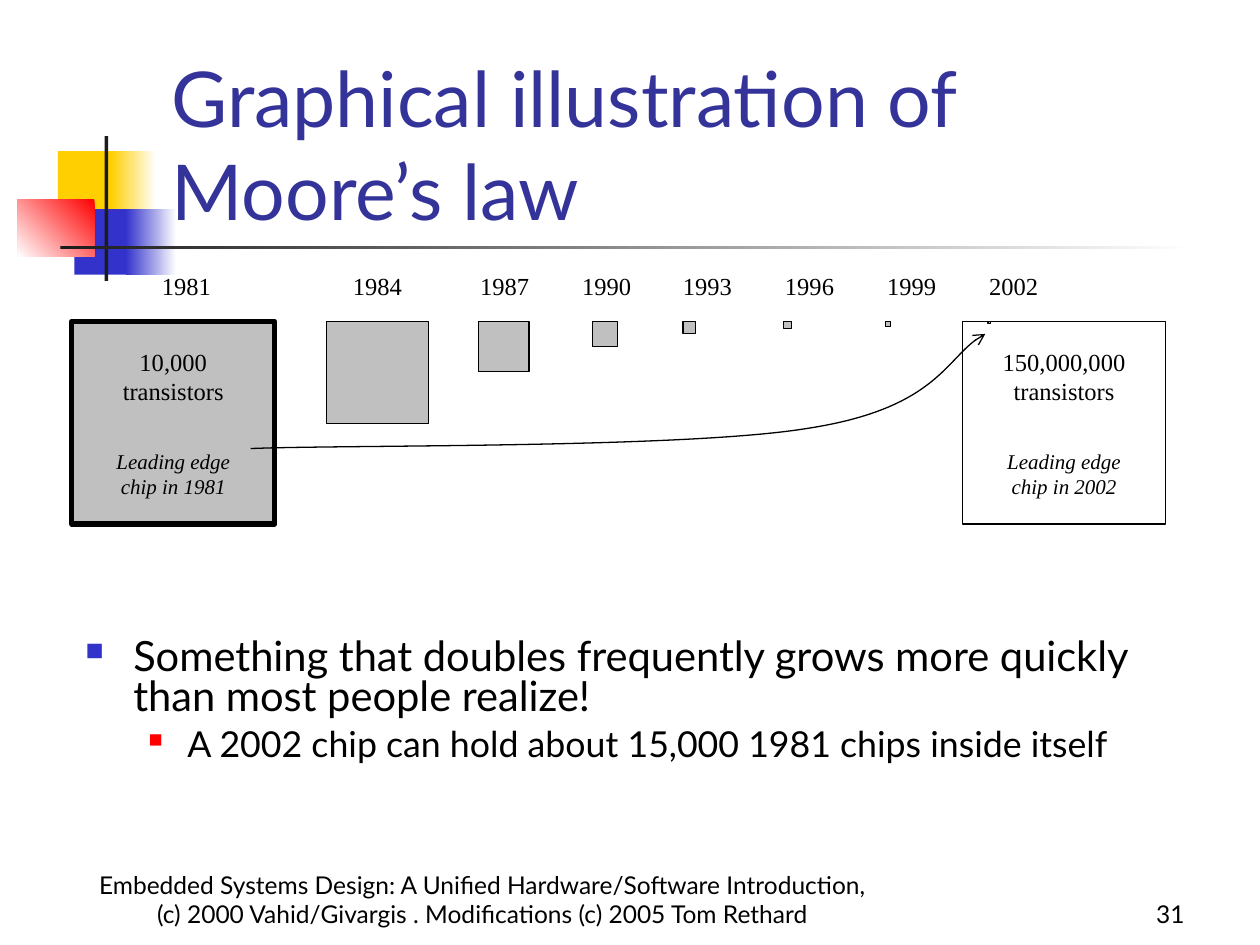
from dataclasses import dataclass

from lxml.etree import SubElement
from pptx import Presentation
from pptx.dml.color import RGBColor
from pptx.enum.shapes import MSO_SHAPE
from pptx.enum.text import MSO_ANCHOR, MSO_AUTO_SIZE, PP_ALIGN
from pptx.oxml.ns import qn
from pptx.util import Emu, Pt

PX = 9144  # 100 px to the inch
SANS, SERIF = "Lato", "Times New Roman"
BLACK, WHITE, GREY = "000000", "FFFFFF", "C0C0C0"
GOLD, BLUE, RED, DARK = "FFCF01", "3333CC", "FF0000", "1C1C1C"
TOP, BIG = 255, 161  # top of the chips, side of a full chip


@dataclass
class Block:
    box: tuple[int, int, int, int]
    color: str
    end: str = ""  # second colour of a gradient
    angle: int = 0


@dataclass
class Chip:
    year: str
    tag: int  # left of the year label
    span: int  # width of the year label
    left: int
    side: int
    line: float = 0.75


@dataclass
class Point:
    text: str
    size: float
    margin: int
    hang: int
    mark: str  # bullet colour
    scale: int  # bullet size, percent
    gap: int


BLOCKS = [
    Block((46, 120, 48, 52), GOLD),
    Block((88, 120, 36, 52), GOLD, WHITE),
    Block((59, 166, 46, 52), BLUE),
    Block((100, 166, 40, 52), BLUE, WHITE),
    Block((14, 158, 61, 46), RED, WHITE, 225),
    Block((83, 108, 3, 115), DARK),
    Block((48, 195, 900, 3), DARK, WHITE),
]
CHIPS = [
    Chip("1981", 118, 60, 57, BIG, 3),
    Chip("1984", 259, 81, 259, 81),
    Chip("1987", 360, 81, 380, 40),
    Chip("1990", 441, 81, 470, 20),
    Chip("1993", 521, 81, 542, 10),
    Chip("1996", 602, 81, 622, 6),
    Chip("1999", 683, 81, 703, 4),
    Chip("2002", 764, 81, 784, 2),
]
POINTS = [
    Point("Something that doubles frequently grows more quickly "
          "than most people realize!", 23.8, 38, 38, BLUE, 60, 0),
    Point("A 2002 chip can hold about 15,000 1981 chips inside itself",
          20.4, 81, 31, RED, 55, 6),
]


def rgb(code: str) -> RGBColor:
    return RGBColor.from_string(code)


def emu(*vals: int) -> list[Emu]:
    return [Emu(v * PX) for v in vals]


def style(para, size: float, face: str, color: str = BLACK,
          italic: bool = False) -> None:
    font = para.font
    font.size, font.name, font.italic = Pt(size), face, italic
    font.color.rgb = rgb(color)


def rect(slide, box: tuple, color: str = "", line: float = 0):
    shape = slide.shapes.add_shape(MSO_SHAPE.RECTANGLE, *emu(*box))
    shape.shadow.inherit = False
    if color:
        shape.fill.solid()
        shape.fill.fore_color.rgb = rgb(color)
    else:
        shape.fill.background()
    if line:
        shape.line.color.rgb = rgb(BLACK)
        shape.line.width = Pt(line)
    else:
        shape.line.fill.background()
    return shape


def block(slide, item: Block) -> None:
    fill = rect(slide, item.box, item.color).fill
    if item.end:
        fill.gradient()
        fill.gradient_angle = item.angle
        for stop, color in zip(fill.gradient_stops, (item.color, item.end)):
            stop.color.rgb = rgb(color)


def frame(slide, box: tuple, inset: bool = False):
    body = slide.shapes.add_textbox(*emu(*box)).text_frame
    body.word_wrap = True
    if not inset:
        body.margin_left = body.margin_right = 0
        body.margin_top = body.margin_bottom = 0
    return body


def label(slide, box: tuple, lines: list[str], size: float,
          italic: bool = False) -> None:
    body = frame(slide, box)
    body.text = "\n".join(lines)
    for para in body.paragraphs:
        para.alignment = PP_ALIGN.CENTER
        style(para, size, SERIF, italic=italic)


def notes(slide, left: int, count: str, year: str) -> None:
    label(slide, (left, 356, BIG, 61),
          ["Leading edge", f"chip in {year}"], 12, True)
    label(slide, (left, 275, BIG, 61), [count, "transistors"], 14)


def curve(slide, start: tuple, ctrl: list[tuple]) -> None:
    """Draw a Bezier arrow; ctrl holds three points per segment."""
    pen = slide.shapes.build_freeform(*start, scale=PX)
    pen.add_line_segments(ctrl, close=False)
    shape = pen.convert_to_shape()
    shape.shadow.inherit = False
    shape.fill.background()
    shape.line.color.rgb = rgb(BLACK)
    shape.line.width = Pt(0.75)
    track = next(shape.element.iter(qn("a:path")))
    steps = track.findall(qn("a:lnTo"))
    for i in range(0, len(steps), 3):
        bend = SubElement(track, qn("a:cubicBezTo"))
        for step in steps[i:i + 3]:
            bend.append(step[0])
            track.remove(step)
    line = shape.element.spPr.find(qn("a:ln"))
    SubElement(line, qn("a:tailEnd"), type="arrow")


def bullet(para, item: Point) -> None:
    props = para._p.get_or_add_pPr()
    props.set("marL", str(item.margin * PX))
    props.set("indent", str(-item.hang * PX))
    tint = SubElement(props, qn("a:buClr"))
    SubElement(tint, qn("a:srgbClr"), val=item.mark)
    SubElement(props, qn("a:buSzPct"), val=str(item.scale * 1000))
    SubElement(props, qn("a:buChar"), char="■")
    para.line_spacing = 0.8
    para.space_before = Pt(item.gap)
    para.text = item.text
    style(para, item.size, SANS)


def footer(slide, box: tuple, text: str, align) -> None:
    body = frame(slide, box, inset=True)
    body.vertical_anchor = MSO_ANCHOR.BOTTOM
    para = body.paragraphs[0]
    para.text, para.alignment = text, align
    style(para, 14, SANS)


def main() -> None:
    deck = Presentation()
    deck.slide_width, deck.slide_height = emu(1000, 750)
    slide = deck.slides.add_slide(deck.slide_layouts[5])

    # Corner ornament
    for item in BLOCKS:
        block(slide, item)

    # Title, moved in front of the ornament
    title = slide.shapes.title
    slide.shapes._spTree.append(title.element)
    title.left, title.top, title.width, title.height = emu(126, 67, 852, 125)
    body = title.text_frame
    body.text = "Graphical illustration of Moore’s law"
    body.auto_size = MSO_AUTO_SIZE.NONE
    body.vertical_anchor = MSO_ANCHOR.BOTTOM
    body.paragraphs[0].alignment = PP_ALIGN.LEFT
    style(body.paragraphs[0], 44, SANS, "333399")

    # Shrinking chips with their years
    for chip in CHIPS:
        rect(slide, (chip.left, TOP, chip.side, chip.side), GREY, chip.line)
        label(slide, (chip.tag, 215, chip.span, 40), [chip.year], 14)

    # Full chips of the first and last year
    first, last = CHIPS[0], CHIPS[-1]
    notes(slide, first.left, "10,000", first.year)
    rect(slide, (last.tag, TOP, BIG, BIG), line=0.75)
    notes(slide, last.tag, "150,000,000", last.year)
    curve(slide, (199, 356), [(272, 353), (544, 356), (641, 340),
                              (739, 325), (753, 280), (782, 265)])

    # Bullet points
    body = frame(slide, (58, 503, 900, 130), inset=True)
    body.add_paragraph()
    for para, item in zip(body.paragraphs, POINTS):
        bullet(para, item)

    # Footer and page number
    footer(slide, (58, 692, 650, 50),
           "Embedded Systems Design: A Unified Hardware/Software Introduction, "
           "(c) 2000 Vahid/Givargis . Modifications (c) 2005 Tom Rethard",
           PP_ALIGN.CENTER)
    footer(slide, (742, 692, 208, 50), "31", PP_ALIGN.RIGHT)
    deck.save("out.pptx")


if __name__ == "__main__":
    main()
